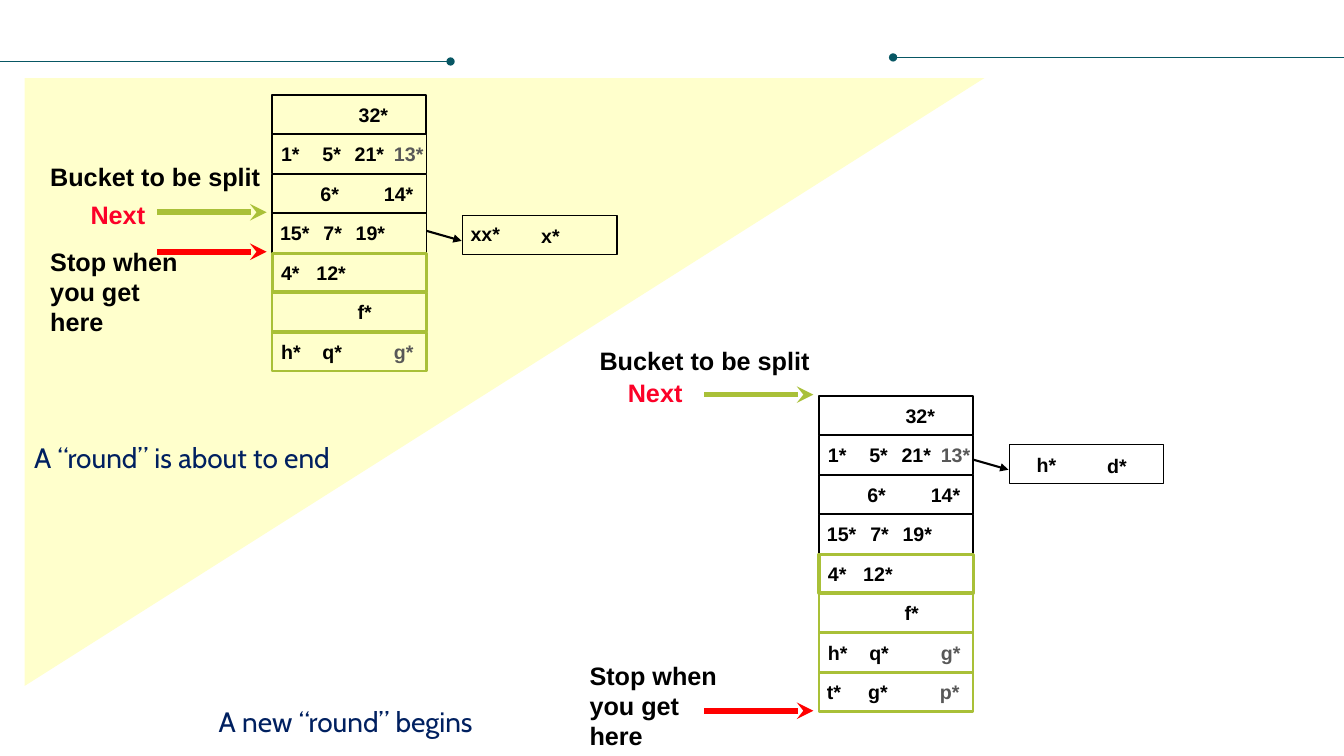
import dataclasses

import pptx
import pptx.dml.color
import pptx.enum.shapes
import pptx.enum.text
import pptx.oxml
import pptx.oxml.ns
import pptx.util

SHAPE = pptx.enum.shapes.MSO_SHAPE


@dataclasses.dataclass(frozen=True)
class Theme:
    black: str = "000000"
    grey: str = "585858"
    green: str = "A9C038"
    red: str = "FF0000"
    crimson: str = "FC0128"
    navy: str = "002060"
    teal: str = "085764"
    cream: str = "FFFFCC"
    label_font: str = "Arial"
    caption_font: str = "Cabin"
    key_size: int = 14
    label_size: int = 18
    caption_size: int = 20


THEME = Theme()

# Grid: square cells of a tenth of an inch
CELL = 0.1
COLS, ROWS = 133.33, 75
BUCKET_W, BUCKET_H, PITCH = 15.3, 3.85, 3.92


def grid(n):
    return pptx.util.Inches(n * CELL)


def rgb(color):
    return pptx.dml.color.RGBColor.from_string(color)


def add_text(tf, text, *, size, color, font, bold=False):
    r = tf.paragraphs[0].add_run()
    r.text = text
    r.font.size = pptx.util.Pt(size)
    r.font.name = font
    r.font.bold = bold
    r.font.color.rgb = rgb(color)


class Sketch:
    def __init__(self, prs, theme):
        self.theme = theme
        self.s = prs.slides.add_slide(prs.slide_layouts[6])

    def shape(self, kind, x, y, w, h, *, fill=None, line=None, width=1, rotation=0):
        sp = self.s.shapes.add_shape(kind, grid(x), grid(y), grid(w), grid(h))
        sp.shadow.inherit = False
        sp.rotation = rotation
        if fill:
            sp.fill.solid()
            sp.fill.fore_color.rgb = rgb(fill)
        else:
            sp.fill.background()
        if line:
            sp.line.color.rgb = rgb(line)
            sp.line.width = pptx.util.Pt(width)
        else:
            sp.line.fill.background()

    def text(self, text, x, y, w, h, *, wrap=False, **fmt):
        tf = self.s.shapes.add_textbox(grid(x), grid(y), grid(w), grid(h)).text_frame
        tf.word_wrap = wrap
        tf.auto_size = pptx.enum.text.MSO_AUTO_SIZE.SHAPE_TO_FIT_TEXT
        add_text(tf, text, **fmt)

    def label(self, text, x, y, w, *, h=4, color=None, wrap=False):
        t = self.theme
        self.text(text, x, y, w, h, wrap=wrap, size=t.label_size,
                  color=color or t.black, font=t.label_font, bold=True)

    def caption(self, text, x, y, w):
        t = self.theme
        self.text(text, x, y, w, 4.4, size=t.caption_size, color=t.navy,
                  font=t.caption_font)

    def key(self, text, x, y, color=None):
        t = self.theme
        w = 4.9 if len(text) == 3 else 3.4 if text[0] in "ft" else 4.1
        self.text(text, x, y, w, 3.3, size=t.key_size, color=color or t.black,
                  font=t.label_font, bold=True)

    def line(self, x1, y1, x2, y2, *, color, width, end):
        """Draw a connector whose end mark sits at (x2, y2)."""
        c = self.s.shapes.add_connector(
            pptx.enum.shapes.MSO_CONNECTOR.STRAIGHT,
            grid(x1), grid(y1), grid(x2), grid(y2))
        c.line.color.rgb = rgb(color)
        c.line.width = pptx.util.Pt(width)
        ns = pptx.oxml.ns.nsdecls("a")
        c.line._get_or_add_ln().append(
            pptx.oxml.parse_xml(f'<a:tailEnd {ns} type="{end}"/>'))
        c._element.spPr.append(pptx.oxml.parse_xml(f"<a:effectLst {ns}/>"))

    def stack(self, x, top, buckets):
        t = self.theme
        for i, (line, width, keys) in enumerate(buckets):
            y = top + i * PITCH
            self.shape(SHAPE.RECTANGLE, x, y, BUCKET_W, BUCKET_H, line=line, width=width)
            for text, dx in keys:
                newest = text in ("13*", "p*") or (text == "g*" and dx > 10)
                self.key(text, x + dx, y + 0.25, t.grey if newest else t.black)

    def pointer(self, x, top, row, color):
        y = top + row * PITCH - 0.15
        self.line(x - 11.4, y, x - 0.55, y, color=color, width=4, end="stealth")

    def overflow(self, x, y, keys):
        t = self.theme
        left = x + 18.9
        self.shape(SHAPE.RECTANGLE, left, y, BUCKET_W, BUCKET_H, line=t.black)
        for text, dx, dy in keys:
            self.key(text, left + dx, y + dy)
        self.line(x + BUCKET_W, y + 1.5, left - 0.1, y + 2.5,
                  color=t.black, width=1.5, end="triangle")


# Each bucket: outline colour, outline width, keys with their column offsets
BUCKETS = [
    (THEME.black, 1.5, [("32*", 7.6)]),
    (THEME.black, 1, [("1*", -0.1), ("5*", 4), ("21*", 7.2), ("13*", 11.1)]),
    (THEME.black, 1, [("6*", 3.8), ("14*", 10.1)]),
    (THEME.black, 1, [("15*", -0.2), ("7*", 4.1), ("19*", 7.3)]),
    (THEME.green, 2.25, [("4*", -0.1), ("12*", 3.4)]),
    (THEME.green, 1.75, [("f*", 7.5)]),
    (THEME.green, 1.75, [("h*", -0.1), ("q*", 4), ("g*", 11.1)]),
    (THEME.green, 1.75, [("t*", -0.2), ("g*", 3.9), ("p*", 11)]),
]

# Label places are (column, row) on the grid
STATES = [
    dict(x=27, top=9.45, count=7, next_row=3, stop_row=4,
         split=(4, 15.5), next=(8, 19.3), stop=(4, 23.9),
         overflow_y=21.4, overflow=[("xx*", -0.2, 0.1), ("x*", 6.8, 0.3)]),
    dict(x=81.25, top=39.3, count=8, next_row=0, stop_row=8,
         split=(58.5, 33.8), next=(61.3, 36.9), stop=(57.5, 65),
         overflow_y=44.1, overflow=[("h*", 1.7, 0.3), ("d*", 8.7, 0.4)]),
]


def main():
    prs = pptx.Presentation()
    prs.slide_width, prs.slide_height = grid(COLS), grid(ROWS)
    sk = Sketch(prs, THEME)

    # Background triangle
    sk.shape(SHAPE.RIGHT_TRIANGLE, 19.9, -9.7, 60.3, 95.2, fill=THEME.cream, rotation=90)

    # Bucket stacks before and after the round ends
    for st in STATES:
        x, top = st["x"], st["top"]
        sk.stack(x, top, BUCKETS[:st["count"]])
        sk.label("Next", *st["next"], 7.5, color=THEME.crimson)
        sk.label("Bucket to be split", *st["split"], 23.7)
        sk.pointer(x, top, st["next_row"], THEME.green)
        sk.pointer(x, top, st["stop_row"], THEME.red)
        sk.label("Stop when you get here", *st["stop"], 14.9, h=10, wrap=True)
        sk.overflow(x, st["overflow_y"], st["overflow"])

    # Captions
    sk.caption("A “round” is about to end", 2.4, 43.2, 32.1)
    sk.caption("A new “round” begins", 20.7, 69.4, 27.6)

    # Header rules
    for start, end, y in ((COLS, 88.6, 5.7), (0, 44.7, 6.1)):
        sk.line(start, y, end, y, color=THEME.teal, width=0.5, end="oval")

    prs.save("out.pptx")


if __name__ == "__main__":
    main()
